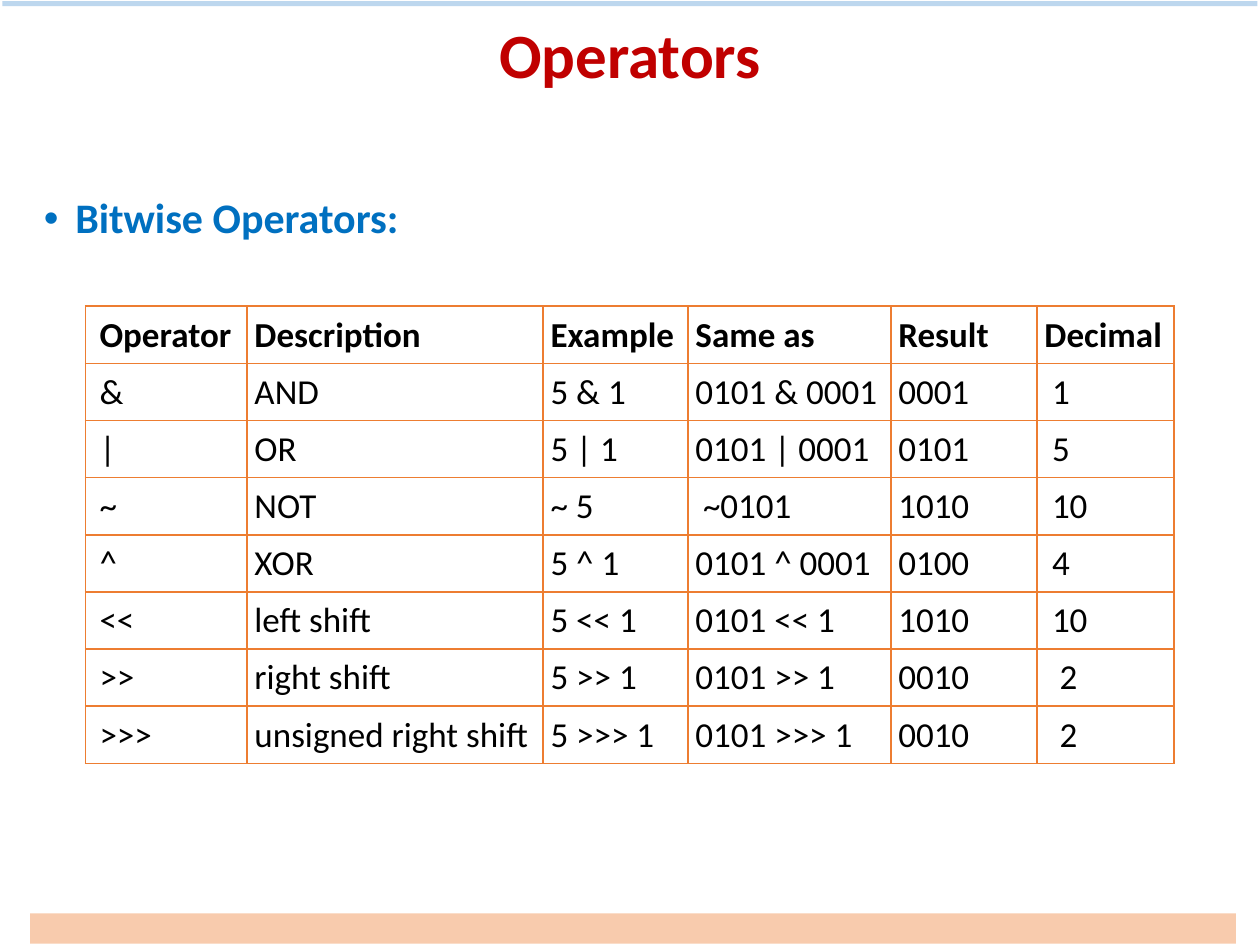
from lxml import etree
from pptx import Presentation
from pptx.dml.color import RGBColor
from pptx.enum.shapes import MSO_SHAPE
from pptx.enum.text import MSO_ANCHOR, PP_ALIGN
from pptx.oxml.ns import qn
from pptx.util import Inches, Pt

RECT = MSO_SHAPE.RECTANGLE
TOP = MSO_ANCHOR.TOP
CENTER = PP_ALIGN.CENTER

THEME = {
    "font": "Calibri",
    "title": {"size": 36, "color": "C00000", "bold": True},
    "heading": {"size": 24, "color": "0070C0", "bold": True},
    "header": {"size": 20, "color": "000000", "bold": True},
    "cell": {"size": 20, "color": "000000", "bold": False},
    "border": "ED7D31",
    "top_bar": "BDD7EE",
    "bottom_bar": "F8CBAD",
}


def write(p, text, style):
    fmt = THEME[style]
    r = p.add_run()
    r.text = text
    values = {"name": THEME["font"], "size": Pt(fmt["size"]), "bold": fmt["bold"]}
    for name, value in values.items():
        setattr(r.font, name, value)
    r.font.color.rgb = RGBColor.from_string(fmt["color"])


def add_borders(cell):
    tcPr = cell._tc.get_or_add_tcPr()
    for i, side in enumerate(("lnL", "lnR", "lnT", "lnB")):
        ln = etree.Element(qn(f"a:{side}"), w=str(Pt(1)))
        fill = etree.SubElement(ln, qn("a:solidFill"))
        etree.SubElement(fill, qn("a:srgbClr"), val=THEME["border"])
        tcPr.insert(i, ln)


prs = Presentation()
prs.slide_width, prs.slide_height = Inches(10), Inches(7.5)
W, H = prs.slide_width, prs.slide_height
s = prs.slides.add_slide(prs.slide_layouts[5])

# Bars along the slide's edges
bars = [
    ("bottom_bar", 0.24, 7.25, 9.57, 0.24),
    ("top_bar", 0.02, 0.01, 9.96, 0.04),
]
for color, *box in bars:
    sp = s.shapes.add_shape(RECT, *map(Inches, box))
    sp.shadow.inherit = False
    sp.fill.solid()
    sp.fill.fore_color.rgb = RGBColor.from_string(THEME[color])
    sp.line.fill.background()

# Title and heading share the same centred column
width = int(W * 0.95)
left = (W - width) // 2
title = s.shapes.title
place = {"left": left, "top": Inches(0.14), "width": width, "height": int(H * 0.17)}
for name, value in place.items():
    setattr(title, name, value)
body = s.shapes.add_textbox(left, Inches(1.52), width, int(H * 0.72))
for sp in (title, body):
    tf = sp.text_frame
    tf.word_wrap = True
    tf.vertical_anchor = TOP
    tf.paragraphs[0].line_spacing = 0.9

p = title.text_frame.paragraphs[0]
p.alignment = CENTER
write(p, "Operators", "title")

# Bulleted heading
p = body.text_frame.paragraphs[0]
pPr = p._p.get_or_add_pPr()
pPr.set("marL", str(Inches(0.25)))
pPr.set("indent", str(-Inches(0.25)))
etree.SubElement(pPr, qn("a:buFont"), typeface="Arial")
etree.SubElement(pPr, qn("a:buChar"), char="•")
write(p, "Bitwise Operators:", "heading")

# Operator table
rows = [
    ("Operator", "Description", "Example", "Same as", "Result", "Decimal"),
    ("&", "AND", "5 & 1", "0101 & 0001", "0001", "1"),
    ("|", "OR", "5 | 1", "0101 | 0001", "0101", "5"),
    ("~", "NOT", "~ 5", "~0101", "1010", "10"),
    ("^", "XOR", "5 ^ 1", "0101 ^ 0001", "0100", "4"),
    ("<<", "left shift", "5 << 1", "0101 << 1", "1010", "10"),
    (">>", "right shift", "5 >> 1", "0101 >> 1", "0010", "2"),
    (">>>", "unsigned right shift", "5 >>> 1", "0101 >>> 1", "0010", "2"),
]
col_widths = [1.28, 2.35, 1.15, 1.61, 1.16, 1.09]
row_height = Inches(0.45)
pad = 0.06
# Cells set further in, as (row, column): left margin
insets = {(r, 0): 0.11 for r in range(len(rows))}
insets.update({(r, 5): 2 * pad for r in range(1, 6)})
insets.update({(r, 5): 3 * pad for r in (6, 7)})
insets[3, 3] = 2 * pad

table = s.shapes.add_table(
    len(rows), len(col_widths), Inches(0.68), Inches(2.43),
    Inches(sum(col_widths)), row_height * len(rows),
).table
table.first_row = table.horz_banding = False
for col, col_width in zip(table.columns, col_widths):
    col.width = Inches(col_width)
for i, row in enumerate(rows):
    table.rows[i].height = row_height
    for j, text in enumerate(row):
        cell = table.cell(i, j)
        cell.margin_left = Inches(insets.get((i, j), pad))
        cell.margin_right = cell.margin_top = cell.margin_bottom = Inches(pad)
        cell.fill.background()
        add_borders(cell)
        write(cell.text_frame.paragraphs[0], text, "cell" if i else "header")

prs.save("out.pptx")
